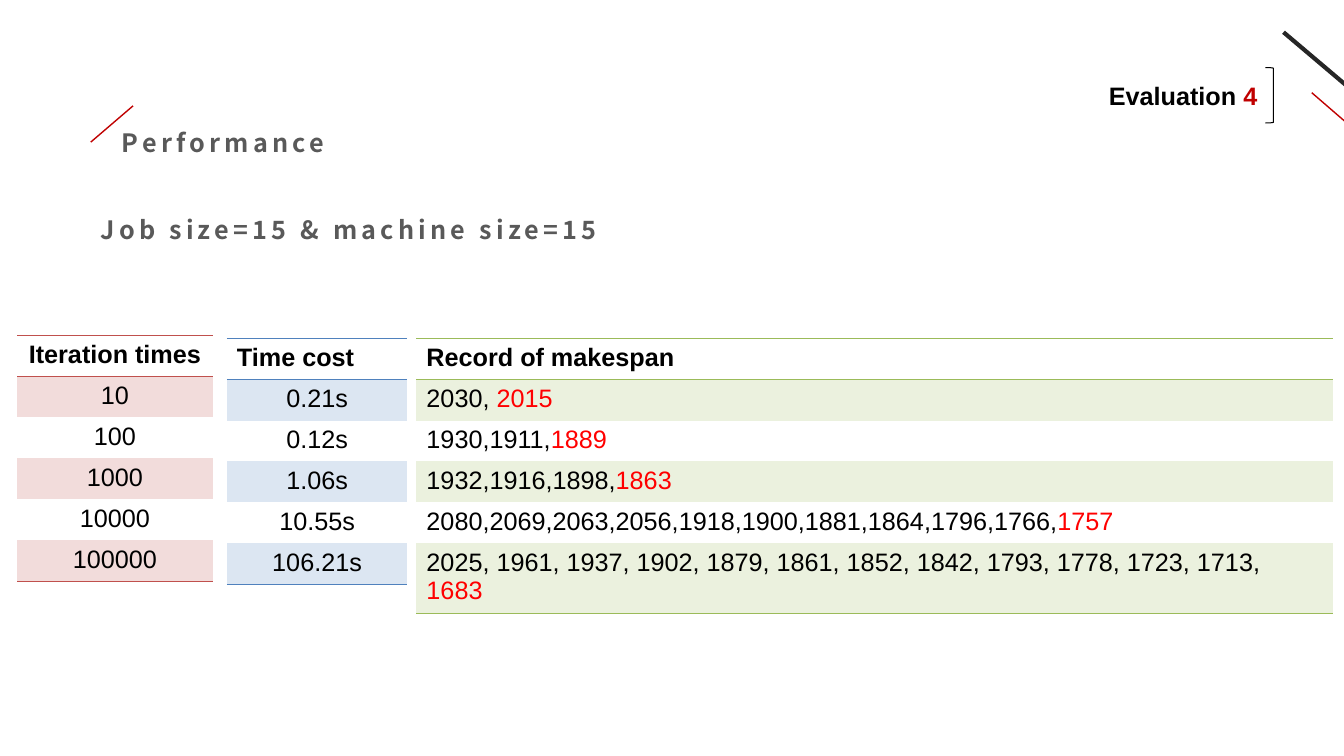
from lxml import etree
from pptx import Presentation
from pptx.dml.color import RGBColor
from pptx.enum.shapes import MSO_CONNECTOR as CONN, MSO_SHAPE as SHAPE
from pptx.enum.text import MSO_ANCHOR as ANCHOR, MSO_AUTO_SIZE as AUTO, PP_ALIGN as ALIGN
from pptx.oxml.ns import qn
from pptx.util import Inches, Pt

COLORS = dict(black="000000", dark="262626", gray="595959", crimson="C00000", best="FF0000",
              red="C0504D", red_tint="F2DCDB", blue="4F81BD", blue_tint="DCE6F2",
              green="9BBB59", green_tint="EBF1DE")
BODY, HEADING = "Arial", "Noto Sans CJK SC"
NO_STYLE = "{2D5ABB26-0587-4C30-8999-92F81FD0307C}"
COLS, ROWS = 133.3, 75  # slide grid, one unit is a tenth of an inch
ROW_H = 4.06

ITERATIONS = ["10", "100", "1000", "10000", "100000"]
TIMES = ["0.21s", "0.12s", "1.06s", "10.55s", "106.21s"]
MAKESPANS = [
    ("2030, ", "2015"),
    ("1930,1911,", "1889"),
    ("1932,1916,1898,", "1863"),
    ("2080,2069,2063,2056,1918,1900,1881,1864,1796,1766,", "1757"),
    ("2025, 1961, 1937, 1902, 1879, 1861, 1852, 1842, 1793, 1778, 1723, 1713, ", "1683"),
]


def grid(*units):
    """Turn grid units into lengths."""
    return [Inches(u / 10) for u in units]


def rgb(name):
    """Look up a named colour."""
    return RGBColor.from_string(COLORS[name])


def add_run(p, text, color="black", bold=False, font=BODY, spacing=0):
    """Add one formatted 18 pt run."""
    r = p.add_run()
    r.text = text
    r.font.size, r.font.bold, r.font.name = Pt(18), bold, font
    r.font.color.rgb = rgb(color)
    if spacing:
        r._r.get_or_add_rPr().set("spc", str(spacing * 100))
    if font == HEADING:
        etree.SubElement(r._r.rPr, qn("a:ea")).set("typeface", font)


def add_line(s, start, end, color, width):
    """Draw a straight line without a shadow."""
    line = s.shapes.add_connector(CONN.STRAIGHT, *grid(*start, *end))
    line.line.color.rgb, line.line.width = rgb(color), Pt(width)
    etree.SubElement(line._element.spPr, qn("a:effectLst"))


def add_textbox(s, box):
    """Add a wrapping text box and return its first paragraph."""
    tf = s.shapes.add_textbox(*grid(*box)).text_frame
    tf.word_wrap = True
    return tf.paragraphs[0]


def add_corner(s, box):
    """Draw the two slanted lines in the top right corner."""
    x, y, w, h = box
    add_line(s, (x, y), (x + w, y + 0.75 * h), "dark", 3)
    add_line(s, (x + 0.33 * w, y + 0.625 * h), (x + 0.82 * w, y + h), "crimson", 1)


def add_section_tag(s, box):
    """Place the section name and number beside a closing bracket."""
    x, y, w, h = box
    p = add_textbox(s, (x, y + 0.8, w - 0.1, 4))
    add_run(p, "Evaluation ", bold=True)
    add_run(p, "4", "crimson", bold=True)
    bracket = s.shapes.add_shape(SHAPE.RIGHT_BRACKET, *grid(x + w - 0.9, y, 0.8, h))
    bracket.shadow.inherit = False
    bracket.fill.background()
    bracket.line.color.rgb, bracket.line.width = rgb("black"), Pt(0.75)


def add_headings(s, box):
    """Place the title with its slanted line, and the subtitle below."""
    x, y, w, h = box
    add_line(s, (x + 4.2, y), (x, y + 3.6), "crimson", 1)
    title = s.shapes.title
    title.left, title.top, title.width, title.height = grid(x + 2.1, y + 1.6, w - 2.1, 4)
    tf = title.text_frame
    tf.word_wrap, tf.auto_size, tf.vertical_anchor = True, AUTO.NONE, ANCHOR.TOP
    subtitle = add_textbox(s, (x, y + h - 4, w, 4))
    for p, text in ((tf.paragraphs[0], "Performance"), (subtitle, "Job size=15 & machine size=15")):
        p.alignment = ALIGN.LEFT
        add_run(p, text, "gray", True, HEADING, 3)


def add_border(cell, side, color):
    """Rule one side of a cell; call before filling the cell."""
    ln = etree.SubElement(cell._tc.get_or_add_tcPr(), qn("a:" + side), w=str(Pt(1)))
    fill = etree.SubElement(ln, qn("a:solidFill"))
    etree.SubElement(fill, qn("a:srgbClr"), val=COLORS[color])


def add_column_table(s, box, header, values, color, head_align, align):
    """Build a one-column table with ruled header and tinted odd rows."""
    x, y, w, h = box
    rows = [header, *values]
    table = s.shapes.add_table(len(rows), 1, *grid(x, y, w, h)).table
    table._tbl.tblPr.find(qn("a:tableStyleId")).text = NO_STYLE
    table.first_row = table.horz_banding = False
    for i, value in enumerate(rows):
        table.rows[i].height = grid(h / len(rows))[0]
        cell = table.cell(i, 0)
        if i == 0:
            add_border(cell, "lnT", color)
        if i in (0, len(rows) - 1):
            add_border(cell, "lnB", color)
        if i % 2:
            cell.fill.solid()
            cell.fill.fore_color.rgb = rgb(color + "_tint")
        else:
            cell.fill.background()
        p = cell.text_frame.paragraphs[0]
        p.alignment = align if i else head_align
        text, best = value if isinstance(value, tuple) else (value, "")
        add_run(p, text, bold=i == 0)
        if best:
            add_run(p, best, "best")


def add_results(s, box):
    """Set the three result tables side by side."""
    x, y, w, h = box
    left, mid = ALIGN.LEFT, ALIGN.CENTER
    add_column_table(s, (x, y, 19.4, h), "Iteration times", ITERATIONS, "red", mid, mid)
    add_column_table(s, (x + 20.8, y + 0.3, 17.9, h), "Time cost", TIMES, "blue", left, mid)
    add_column_table(s, (x + 39.6, y + 0.3, w - 39.6, h), "Record of makespan", MAKESPANS,
                     "green", left, left)


def build_performance(prs):
    """Build the performance slide."""
    s = prs.slides.add_slide(prs.slide_layouts[5])
    add_corner(s, (127.3, 3.2, 8.5, 9.6))
    add_section_tag(s, (109, 6.7, 17.4, 5.5))
    add_headings(s, (9, 10.5, 62, 14.3))
    add_results(s, (1.7, 33.3, 130.5, 6 * ROW_H))


prs = Presentation()
prs.slide_width, prs.slide_height = grid(COLS, ROWS)
build_performance(prs)
prs.save("out.pptx")
